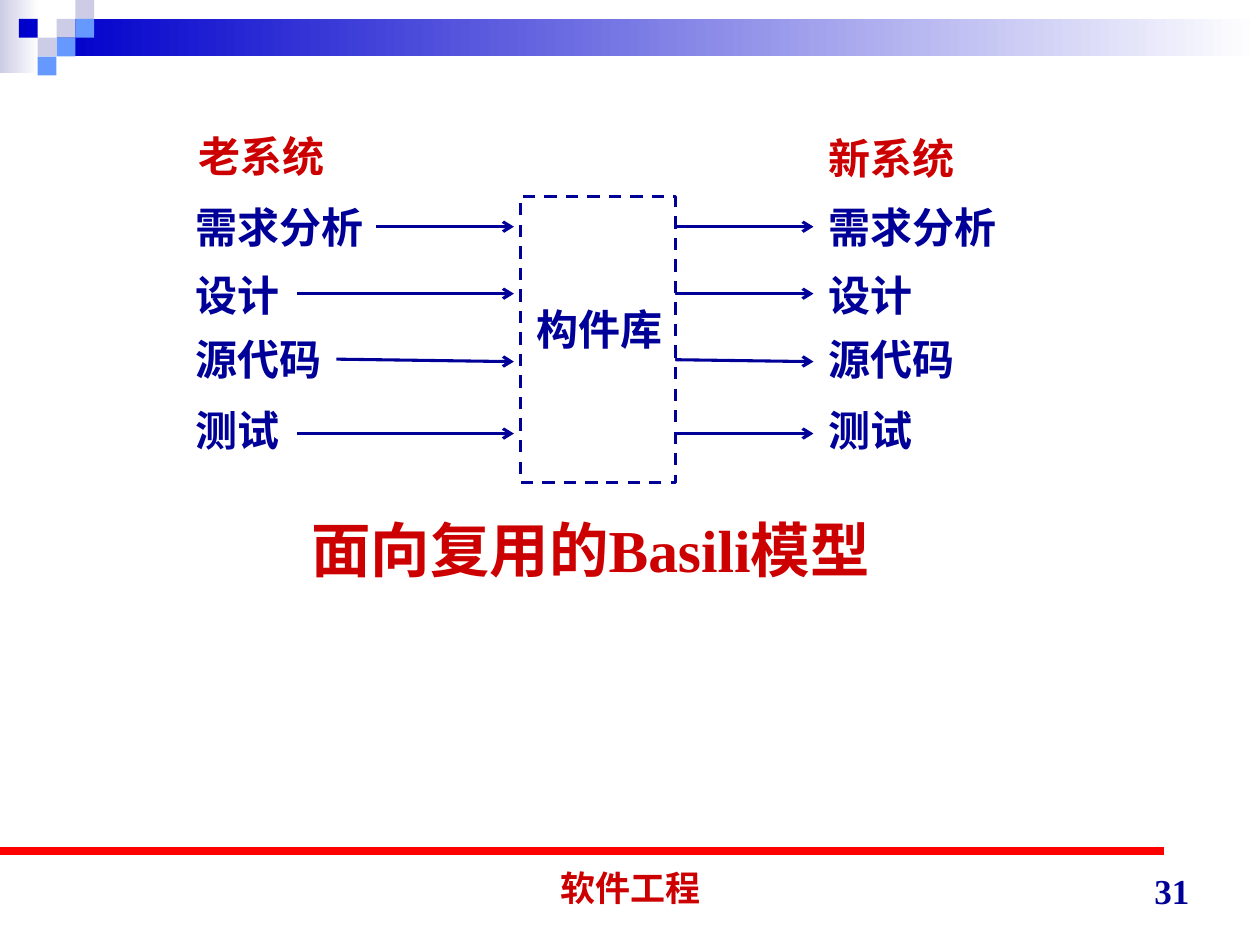
from lxml.etree import SubElement
from pptx import Presentation
from pptx.dml.color import RGBColor
from pptx.enum.dml import MSO_LINE
from pptx.enum.shapes import MSO_CONNECTOR, MSO_SHAPE
from pptx.enum.text import MSO_ANCHOR, PP_ALIGN
from pptx.oxml.ns import qn
from pptx.util import Cm, Pt

NAVY, RED, WHITE = "000099", "CC0000", "FFFFFF"
BLUE, SKY, LILAC = "0000CC", "6699FF", "CCCCE6"
LINE_WIDTH = 1.75
LABEL_HEIGHT = 1.27


def colour(value):
    return RGBColor.from_string(value)


def add_text(page, text, left, top, width, height=LABEL_HEIGHT, size=24, color=NAVY,
             font="Times New Roman", align=PP_ALIGN.LEFT, anchor=MSO_ANCHOR.TOP, wrap=True):
    box = page.shapes.add_textbox(Cm(left), Cm(top), Cm(width), Cm(height))
    frame = box.text_frame
    frame.word_wrap = wrap
    frame.vertical_anchor = anchor
    para = frame.paragraphs[0]
    para.alignment = align
    span = para.add_run()
    span.text = text
    span.font.name = font
    span.font.size = Pt(size)
    span.font.bold = True
    span.font.color.rgb = colour(color)


def add_label(page, text, left, top, color=NAVY):
    """Place a one-line label whose box is as wide as its characters."""
    add_text(page, text, left, top, 0.5 + 0.85 * len(text), color=color, wrap=False)


def add_rect(page, left, top, width, height, fill, fade=False):
    """Add a borderless rectangle; fade runs from the fill to white, left to right."""
    rect = page.shapes.add_shape(MSO_SHAPE.RECTANGLE, Cm(left), Cm(top), Cm(width), Cm(height))
    rect.shadow.inherit = False
    rect.line.fill.background()
    if fade:
        rect.fill.gradient()
        rect.fill.gradient_angle = 0
        for stop, value in zip(rect.fill.gradient_stops, (fill, WHITE)):
            stop.color.rgb = colour(value)
    else:
        rect.fill.solid()
        rect.fill.fore_color.rgb = colour(fill)
    return rect


def add_line(page, start, end, color=NAVY, width=LINE_WIDTH, arrow=False):
    line = page.shapes.add_connector(MSO_CONNECTOR.STRAIGHT, *map(Cm, start + end))
    line.line.color.rgb = colour(color)
    line.line.width = Pt(width)
    properties = line._element.spPr
    if arrow:
        SubElement(properties.find(qn("a:ln")), qn("a:tailEnd"), type="arrow")
    SubElement(properties, qn("a:effectLst"))


def draw_header(page, left, top, width):
    cell = 0.38
    add_rect(page, left, top, 0.79, 1.47, LILAC, fade=True)
    add_rect(page, left + 3 * cell, top + cell, width - 3 * cell, 2 * cell, BLUE, fade=True)
    squares = [(3, 1, LILAC), (4, 0, LILAC), (4, 1, SKY), (2, 2, LILAC),
               (1, 1, BLUE), (3, 2, SKY), (2, 3, SKY)]
    for column, row, fill in squares:
        add_rect(page, left + column * cell, top + row * cell, cell, cell, fill)


def draw_model(page, left, top):
    """Draw old system, component library and new system, with the caption below."""
    # stage, label top, arrow top, drop of the arrow along its length
    stages = [("需求分析", 1.44, 2.07, 0), ("设计", 2.81, 3.42, 0),
              ("源代码", 4.1, 4.74, 0.05), ("测试", 5.53, 6.24, 0)]
    arrow_end, arrow_shift, new_system = 6.66, 6.04, 12.76

    # The library box covers the starts of the arrows that leave it.
    def draw_arrows(shift):
        for stage, _, y, drop in stages:
            start = left + shift + 0.71 + 0.79 * len(stage)
            add_line(page, (start, top + y), (left + shift + arrow_end, top + y + drop), arrow=True)

    draw_arrows(arrow_shift)
    library = add_rect(page, left + 6.79, top + 1.46, 3.12, 5.77, WHITE)
    library.line.color.rgb = colour(NAVY)
    library.line.width = Pt(LINE_WIDTH)
    library.line.dash_style = MSO_LINE.DASH
    draw_arrows(0)
    add_label(page, "构件库", left + 6.87, top + 3.49)

    for heading, x, y in [("老系统", 0, 0), ("新系统", new_system, 0.05)]:
        add_label(page, heading, left + max(x, 0.06), top + y, color=RED)
        for stage, label_top, _, _ in stages:
            add_label(page, stage, left + x, top + label_top)

    add_text(page, "面向复用的Basili模型", left + 1.18, top + 7.71, 14.05, 1.7,
             size=34, color=RED, align=PP_ALIGN.CENTER)


def draw_footer(page, left, top):
    add_line(page, (left, top), (left + 23.47, top), color="FF0000", width=4.5)
    add_text(page, "软件工程", left + 8.69, top + 0.03, 8.05, size=20, color=RED,
             font="Arial", align=PP_ALIGN.CENTER, anchor=MSO_ANCHOR.BOTTOM)
    add_text(page, "31", left + 18.31, top + 0.08, 5.92, size=20,
             align=PP_ALIGN.RIGHT, anchor=MSO_ANCHOR.BOTTOM)


def main():
    deck = Presentation()
    deck.slide_width, deck.slide_height = Cm(25.4), Cm(19.05)
    page = deck.slides.add_slide(deck.slide_layouts[6])
    draw_header(page, 0, 0, 25.4)
    draw_model(page, 3.7, 2.5)
    draw_footer(page, 0, 17.15)
    deck.save("out.pptx")


if __name__ == "__main__":
    main()
